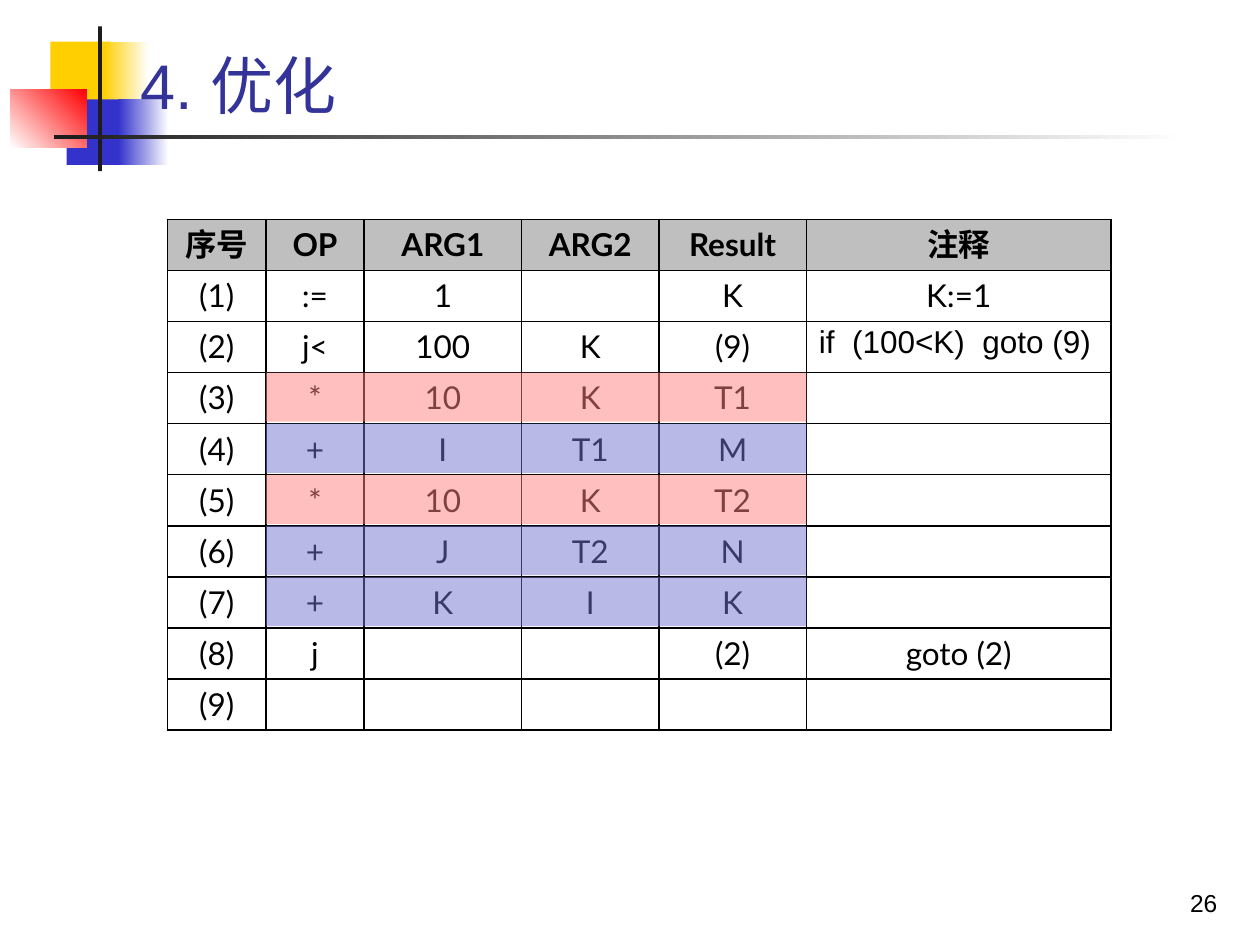
from lxml.etree import SubElement
from pptx import Presentation
from pptx.dml.color import RGBColor
from pptx.enum.shapes import MSO_SHAPE
from pptx.enum.text import MSO_ANCHOR, PP_ALIGN
from pptx.oxml.ns import qn
from pptx.util import Inches, Pt

GOLD = RGBColor(0xFF, 0xCF, 0x01)
BLUE = RGBColor(0x33, 0x33, 0xCC)
RED = RGBColor(0xFF, 0x00, 0x00)
INK = RGBColor(0x1C, 0x1C, 0x1C)
WHITE = RGBColor(0xFF, 0xFF, 0xFF)
BLACK = RGBColor(0x00, 0x00, 0x00)
NAVY = RGBColor(0x33, 0x33, 0x99)
GREY = RGBColor(0xBF, 0xBF, 0xBF)
ROSE = RGBColor(0xFF, 0x80, 0x80)
LILAC = RGBColor(0x75, 0x75, 0xD1)

deck = Presentation()
deck.slide_width, deck.slide_height = Inches(10), Inches(7.5)
X, Y = deck.slide_width / 100, deck.slide_height / 100
slide = deck.slides.add_slide(deck.slide_layouts[6])


def add_block(left, top, width, height, start, end=None, angle=0):
    block = slide.shapes.add_shape(
        MSO_SHAPE.RECTANGLE, int(left * X), int(top * Y), int(width * X), int(height * Y))
    block.shadow.inherit = False
    block.line.fill.background()
    if end is None:
        block.fill.solid()
        block.fill.fore_color.rgb = start
    else:
        block.fill.gradient()
        block.fill.gradient_angle = angle
        for stop, color, position in zip(block.fill.gradient_stops, (start, end), (0, 1)):
            stop.color.rgb = color
            stop.position = position
    return block


def write(paragraph, text, size, font, color, align, bold=False):
    paragraph.alignment = align
    run = paragraph.add_run()
    run.text = text
    run.font.size, run.font.name, run.font.bold = Pt(size), font, bold
    run.font.color.rgb = color
    SubElement(run.font._element, qn("a:ea")).set("typeface", font)


for ornament in (
    (4, 4.4, 4.8, 6.93, GOLD),
    (8.2, 4.4, 3.6, 6.93, GOLD, WHITE),
    (5.3, 10.53, 4.6, 6.93, BLUE),
    (9.4, 10.53, 4, 6.93, BLUE, WHITE),
    (0.8, 9.47, 6.1, 6.13, WHITE, RED, 45),
    (7.8, 2.8, 0.3, 15.33, INK),
    (4.3, 14.27, 90, 0.4, INK, WHITE),
):
    add_block(*ornament)

for left, top, width, height, text, size, color, align in (
    (10.2, 4.13, 87.5, 9.47, "4. 优化", 36, NAVY, PP_ALIGN.LEFT),
    (76.8, 91.07, 20.8, 6.67, "26", 14, BLACK, PP_ALIGN.RIGHT),
):
    frame = slide.shapes.add_textbox(
        int(left * X), int(top * Y), int(width * X), int(height * Y)).text_frame
    frame.word_wrap = True
    frame.vertical_anchor = MSO_ANCHOR.BOTTOM
    write(frame.paragraphs[0], text, size, "Arial", color, align)

quadruples = (
    ("序号", "OP", "ARG1", "ARG2", "Result", "注释"),
    ("(1)", ":=", "1", "", "K", "K:=1"),
    ("(2)", "j<", "100", "K", "(9)", "if  (100<K)  goto (9)"),
    ("(3)", "*", "10", "K", "T1", ""),
    ("(4)", "+", "I", "T1", "M", ""),
    ("(5)", "*", "10", "K", "T2", ""),
    ("(6)", "+", "J", "T2", "N", ""),
    ("(7)", "+", "K", "I", "K", ""),
    ("(8)", "j", "", "", "(2)", "goto (2)"),
    ("(9)", "", "", "", "", ""),
)
columns = (7.8, 7.8, 12.5, 10.9, 11.7, 24.2)
table_left, table_top, row_height = 13.3, 23.2, 5.41
table = slide.shapes.add_table(
    len(quadruples), len(columns), int(table_left * X), int(table_top * Y),
    int(sum(columns) * X), int(len(quadruples) * row_height * Y)).table
for column, width in zip(table.columns, columns):
    column.width = int(width * X)

for row, values in enumerate(quadruples):
    table.rows[row].height = int(row_height * Y)
    for col, value in enumerate(values):
        cell = table.cell(row, col)
        properties = cell._tc.get_or_add_tcPr()
        for side in ("a:lnL", "a:lnR", "a:lnT", "a:lnB"):
            border = SubElement(properties, qn(side), w=str(Pt(1)))
            SubElement(SubElement(border, qn("a:solidFill")), qn("a:srgbClr"), val=str(BLACK))
        if row == 0:
            cell.fill.solid()
            cell.fill.fore_color.rgb = GREY
        else:
            cell.fill.background()
        paragraph = cell.text_frame.paragraphs[0]
        if value.startswith("if"):
            paragraph.line_spacing = 0.9
            write(paragraph, value, 18, "Arial", BLACK, PP_ALIGN.LEFT)
        elif value:
            write(paragraph, value, 18, "Lato", BLACK, PP_ALIGN.CENTER, row == 0)

for step, color in enumerate((ROSE, LILAC, ROSE, LILAC, LILAC), start=3):
    band = add_block(table_left + columns[0], table_top + step * row_height,
                     sum(columns[1:5]), 5.2, color)
    tint = band.fill._xPr.find(qn("a:solidFill")).find(qn("a:srgbClr"))
    SubElement(tint, qn("a:alpha"), val="50000")

deck.save("out.pptx")
